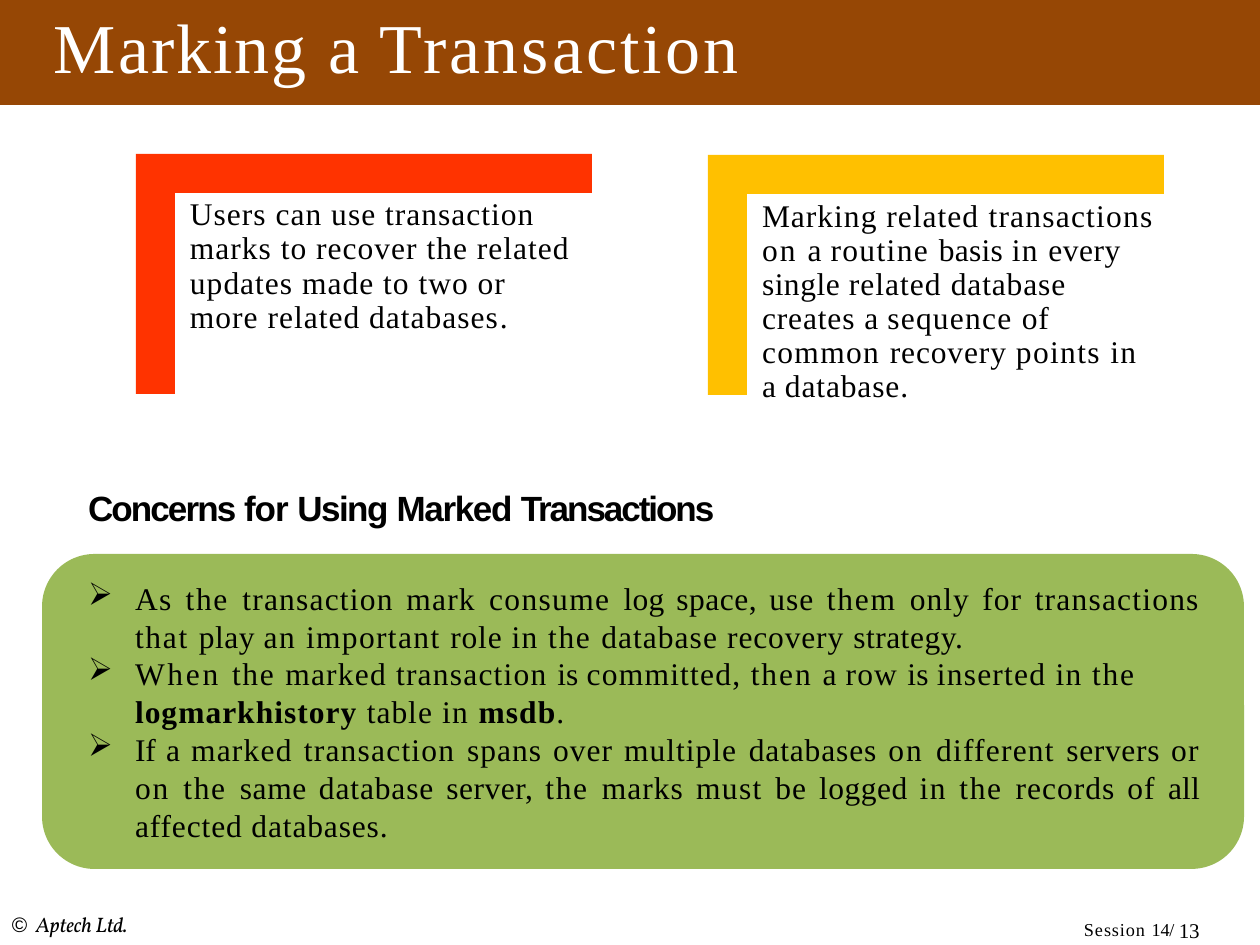
"""Build the slide on marking a transaction and the concerns of marked transactions."""
from lxml import etree
from pptx import Presentation
from pptx import util as u
from pptx.dml.color import RGBColor
from pptx.enum import shapes, text
from pptx.oxml import ns

COLOURS = {
    "band": "964705",
    "panel": "9BBA58",
    "red": "FF3300",
    "amber": "FFC000",
    "white": "FFFFFF",
    "black": "000000",
}
SERIF = "Times New Roman"
FORMATS = {
    "title": {"name": SERIF, "size": u.Pt(40), "colour": "white"},
    "heading": {"name": "Arial", "size": u.Pt(20), "bold": True},
    "body": {"name": SERIF, "size": u.Pt(18)},
    "copyright": {"name": "Vollkorn", "size": u.Pt(12), "italic": True},
}
BOLD = {"bold": True}
PLAIN_ARIAL = {"name": "Arial", "italic": False}
RAISED = {"baseline": 5000}
SMALL = {"size": u.Pt(12)}
JUSTIFIED = {"alignment": text.PP_ALIGN.JUSTIFY}

TITLE = [("Marking ", 120), ("a ", 70), ("Transaction", 180)]
RECOVERY = [
    ("Users can use transaction marks to recover the related updates "
     "made to two or more related databases", 60), (".", 50)]
ROUTINE = [
    ("Marking related ", 60), ("transactions ", 70), ("on ", 120), ("a ", 30),
    ("routine ", 80), ("basis ", 20), ("in ", 80), ("every single ", 30),
    ("related ", 60), ("database creates ", 50), ("a ", 30), ("sequence ", 70),
    ("of ", 50), ("common ", 80), ("recovery ", 50), ("points in ", 80),
    ("a ", 30), ("database.", 50)]
HEADING = [("Concerns ", -110), ("for ", -60), ("Using ", -90), ("Marked ", -80),
           ("Transactions", -120)]
LOG_SPACE = [
    ("As ", 80), ("the ", 100), ("transaction mark ", 70), ("consume ", 80),
    ("log ", 20), ("space, ", 30), ("use ", 60), ("them ", 100),
    ("only for ", 60), ("transactions ", 70), ("that ", 100), ("play ", 30),
    ("an ", 90), ("important ", 80), ("role ", 50), ("in ", 80), ("the ", 100),
    ("database ", 60), ("recovery ", 50), ("strategy.", 30)]
COMMIT = [
    ("When ", 160), ("the ", 100), ("marked transaction ", 70), ("is ", 10),
    ("committed, ", 70), ("then ", 110), ("a ", 30), ("row ", 70), ("is ", 10),
    ("inserted ", 70), ("in ", 80), ("the", 100)]
HISTORY = [("logmarkhistory ", 60, BOLD), ("table ", 60), ("in ", 80),
           ("msdb", 60, BOLD), (".", 60)]
SERVERS = [
    ("If ", 0), ("a ", 30), ("marked transaction ", 70),
    ("spans over multiple ", 60), ("databases ", 50), ("on ", 120),
    ("different ", 70), ("servers ", 40), ("or ", 80), ("on ", 110),
    ("the ", 100), ("same ", 40), ("database ", 50), ("server, ", 30),
    ("the ", 100), ("marks ", 60), ("must ", 80), ("be ", 60), ("logged ", 30),
    ("in ", 80), ("the ", 100), ("records of ", 60), ("all ", 10),
    ("affected databases.", 50)]
SESSION = [("Session ", 50, RAISED), ("14/ ", -10, RAISED), ("13", -10, SMALL)]
COPYRIGHT = [("© ", 70, PLAIN_ARIAL), ("Aptech ", 0), ("Ltd.", -10)]


def px(length):
    return u.Emu(round(length * 914400 / 126))


class SlideBuilder:
    def __init__(self, slide):
        self.slide = slide

    def paint(self, shape, colour):
        shape.shadow.inherit = False
        shape.fill.solid()
        shape.fill.fore_color.rgb = RGBColor.from_string(COLOURS[colour])
        shape.line.fill.background()

    def block(self, kind, left, top, width, height, colour):
        shape = self.slide.shapes.add_shape(
            kind, px(left), px(top), px(width), px(height))
        self.paint(shape, colour)

    def corner(self, left, top, colour, width=456, height=240, thickness=39):
        right, bottom = left + width, top + height
        inner_left, inner_top = left + thickness, top + thickness
        points = [(left, top), (left, bottom), (inner_left, bottom),
                  (inner_left, inner_top), (right, inner_top)]
        builder = self.slide.shapes.build_freeform(
            px(right), px(top), scale=1.0)
        builder.add_line_segments([(px(x), px(y)) for x, y in points])
        self.paint(builder.convert_to_shape(), colour)

    def text_box(self, left, top, width, height, inset=1):
        box = self.slide.shapes.add_textbox(
            px(left), px(top), px(width), px(height))
        frame = box.text_frame
        values = {
            "word_wrap": True, "auto_size": text.MSO_AUTO_SIZE.SHAPE_TO_FIT_TEXT,
            "margin_left": 0, "margin_right": 0, "margin_bottom": 0,
            "margin_top": px(inset),
        }
        for name, value in values.items():
            setattr(frame, name, value)
        return frame

    def paragraph(self, frame, runs, style, layout=None, indent=(1, 0), bullet=None):
        paragraph = frame.paragraphs[0]
        if paragraph.runs:
            paragraph = frame.add_paragraph()
        properties = paragraph._p.get_or_add_pPr()
        for name, length in zip(("marL", "indent"), indent):
            properties.set(name, str(px(length)))
        if bullet:
            etree.SubElement(properties, ns.qn("a:buChar")).set("char", bullet)
        for name, value in (layout or {}).items():
            setattr(paragraph, name, value)
        for words, spacing, *changes in runs:
            self.run(paragraph, words, spacing, FORMATS[style], *changes)

    def run(self, paragraph, words, spacing, style, changes=None):
        run = paragraph.add_run()
        run.text = words
        values = {"colour": "black", **style, **(changes or {})}
        colour = values.pop("colour")
        run.font.color.rgb = RGBColor.from_string(COLOURS[colour])
        properties = run._r.get_or_add_rPr()
        properties.set("spc", str(spacing))
        if "baseline" in values:
            properties.set("baseline", str(values.pop("baseline")))
        for name, value in values.items():
            setattr(run.font, name, value)


def main():
    presentation = Presentation()
    presentation.slide_width, presentation.slide_height = px(1260), px(945)
    slide = presentation.slides.add_slide(presentation.slide_layouts[6])
    builder = SlideBuilder(slide)

    builder.block(shapes.MSO_SHAPE.RECTANGLE, 0, 0, 1260, 105, "band")
    builder.paragraph(builder.text_box(53, 3, 687, 88), TITLE, "title")

    builder.block(shapes.MSO_SHAPE.ROUNDED_RECTANGLE, 42, 554, 1202, 315, "panel")
    concerns = builder.text_box(86, 485, 1114, 362)
    builder.paragraph(concerns, HEADING, "heading", {"space_after": u.Pt(29)}, (2, 0))
    for runs, bullet in ((LOG_SPACE, "➢"), (COMMIT, "➢"), (HISTORY, None),
                         (SERVERS, "➢")):
        indent = (49, -47 if bullet else 0)
        builder.paragraph(concerns, runs, "body", JUSTIFIED, indent, bullet)

    cards = (
        (136, 154, "red", RECOVERY, 386, 144, 5, 0.91),
        (708, 155, "amber", ROUTINE, 394, 212, 6, u.Pt(19.4)),
    )
    for left, top, colour, runs, width, height, inset, spacing in cards:
        builder.corner(left, top, colour)
        frame = builder.text_box(left + 53, top + 39, width, height, inset)
        builder.paragraph(frame, runs, "body", {"line_spacing": spacing})

    builder.paragraph(builder.text_box(1083, 905, 132, 35, 2), SESSION, "body")
    builder.paragraph(builder.text_box(11, 911, 124, 34), COPYRIGHT, "copyright")
    presentation.save("out.pptx")


if __name__ == "__main__":
    main()
